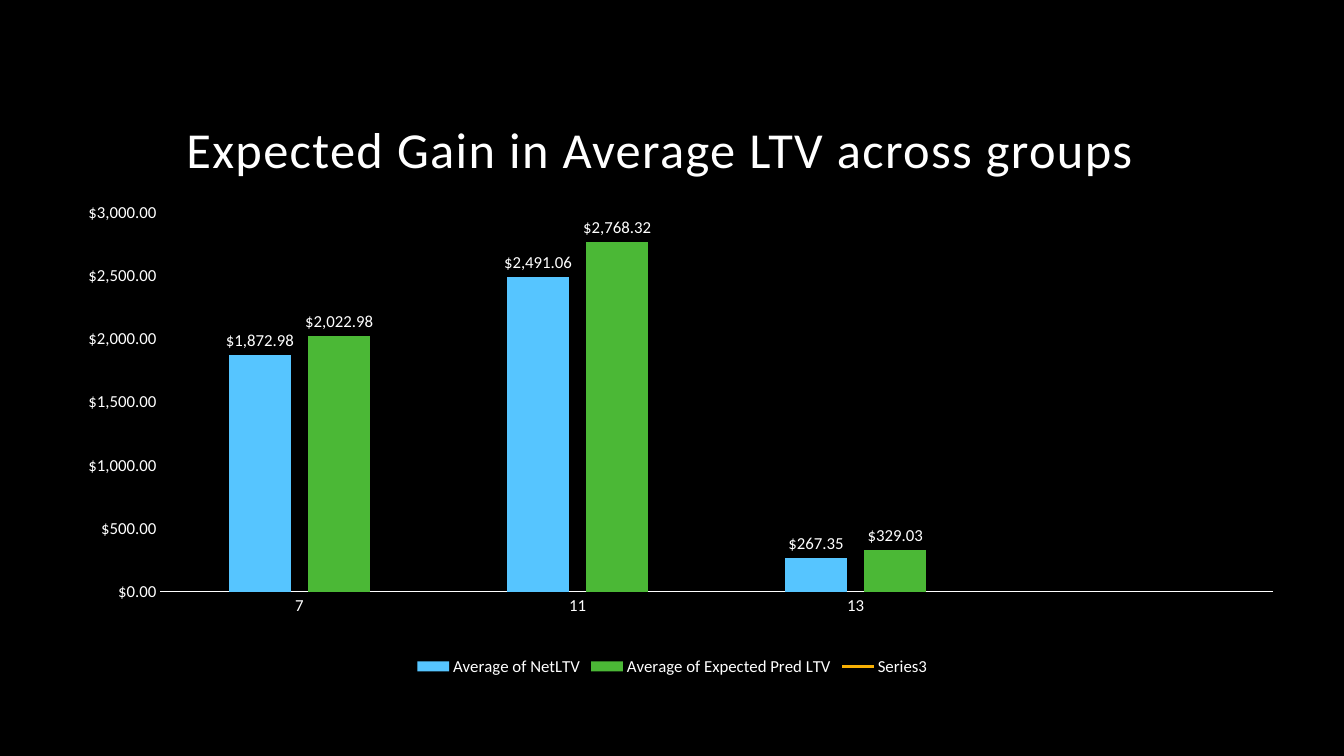
import pptx
import pptx.chart.data
import pptx.dml.color
import pptx.enum.chart
import pptx.enum.text
import pptx.oxml
import pptx.oxml.ns
import pptx.util
from pptx.util import Inches

# Content
TITLE = "Expected Gain in Average LTV across groups"
GROUPS = ["7", "11", "13", ""]
SERIES = [
    ("Average of NetLTV", [1872.98, 2491.06, 267.35, None], "56C5FF"),
    ("Average of Expected Pred LTV", [2022.98, 2768.32, 329.03, None], "4BB836"),
    ("Series3", [None] * 4, "F8B004"),
]
PLOT_LAYOUT = {"x": 0.074, "y": 0.023, "w": 0.926, "h": 0.792}
MONEY = '"$"#,##0.00'
FONT, WHITE, BLACK = "Calibri", "FFFFFF", "000000"


def rgb(value):
    return pptx.dml.color.RGBColor.from_string(value)


def paint(fill, color):
    fill.solid()
    fill.fore_color.rgb = rgb(color)


def style_font(font, size, color=WHITE):
    font.name, font.size, font.bold = FONT, pptx.util.Pt(size), False
    font.color.rgb = rgb(color)


def add_text(slide, text, *, left, top, width, height, size, spacing):
    tf = slide.shapes.add_textbox(
        Inches(left), Inches(top), Inches(width), Inches(height)).text_frame
    tf.word_wrap = True
    tf.vertical_anchor = pptx.enum.text.MSO_ANCHOR.BOTTOM
    p = tf.paragraphs[0]
    p.line_spacing = 0.9
    r = p.add_run()
    r.text = text
    style_font(r.font, size)
    r.font._element.set("spc", str(spacing * 100))


def chart_xml(markup):
    return pptx.oxml.parse_xml(markup.replace(
        ">", " " + pptx.oxml.ns.nsdecls("c") + ">", 1))


def set_plot_layout(chart):
    area = chart.element.find(".//" + pptx.oxml.ns.qn("c:plotArea"))
    for old in area.findall(pptx.oxml.ns.qn("c:layout")):
        area.remove(old)
    sizes = "".join(f'<c:{k} val="{v}"/>' for k, v in PLOT_LAYOUT.items())
    area.insert(0, chart_xml(
        '<c:layout><c:manualLayout><c:layoutTarget val="inner"/>'
        '<c:xMode val="edge"/><c:yMode val="edge"/>'
        f'{sizes}</c:manualLayout></c:layout>'))


def move_last_series_to_line(chart):
    bars = chart.element.find(".//" + pptx.oxml.ns.qn("c:barChart"))
    ser = bars.findall(pptx.oxml.ns.qn("c:ser"))[-1]
    for invert in ser.findall(pptx.oxml.ns.qn("c:invertIfNegative")):
        ser.remove(invert)
    ids = "".join(f'<c:axId val="{a.get("val")}"/>'
                  for a in bars.findall(pptx.oxml.ns.qn("c:axId")))
    lines = chart_xml(
        '<c:lineChart><c:grouping val="standard"/><c:varyColors val="0"/>'
        f'<c:marker val="1"/>{ids}</c:lineChart>')
    lines.insert(2, ser)
    bars.addnext(lines)


# Slide and title
prs = pptx.Presentation()
prs.slide_width, prs.slide_height = Inches(13.33), Inches(7.5)
s = prs.slides.add_slide(prs.slide_layouts[6])
paint(s.background.fill, BLACK)
add_text(s, TITLE, left=1.75, top=0.33, width=10, height=1.5, size=36, spacing=1)

# Chart
data = pptx.chart.data.CategoryChartData(number_format=MONEY)
data.categories = GROUPS
for name, values, _ in SERIES:
    data.add_series(name, values)
chart = s.shapes.add_chart(
    pptx.enum.chart.XL_CHART_TYPE.COLUMN_CLUSTERED,
    Inches(0.71), Inches(2), Inches(11.92), Inches(4.75), data).chart
style_font(chart.font, 10)
chart.has_title = False
chart.has_legend = True
chart.legend.position = pptx.enum.chart.XL_LEGEND_POSITION.BOTTOM
chart.legend.include_in_layout = False
style_font(chart.legend.font, 12)
set_plot_layout(chart)
move_last_series_to_line(chart)

# Columns and line
columns, line_plot = chart.plots
columns.gap_width, columns.overlap = 219, -27
columns.vary_by_categories = False
for series, (_, _, color) in zip(columns.series, SERIES):
    paint(series.format.fill, color)
    labels = series.data_labels
    labels.show_value = True
    labels.number_format, labels.number_format_is_linked = MONEY, False
    labels.position = pptx.enum.chart.XL_LABEL_POSITION.OUTSIDE_END
    style_font(labels.font, 12)
line = line_plot.series[0]
line.smooth = False
line.marker.style = pptx.enum.chart.XL_MARKER_STYLE.NONE
line.format.line.color.rgb = rgb(SERIES[-1][2])
line.format.line.width = pptx.util.Pt(2.25)

# Axes
for axis in (chart.category_axis, chart.value_axis):
    axis.major_tick_mark = axis.minor_tick_mark = pptx.enum.chart.XL_TICK_MARK.NONE
    axis.has_major_gridlines = False
    style_font(axis.tick_labels.font, 12)
chart.category_axis.format.line.color.rgb = rgb(WHITE)
chart.category_axis.format.line.width = pptx.util.Pt(0.75)
values_axis = chart.value_axis
values_axis.format.line.fill.background()
values_axis.minimum_scale, values_axis.maximum_scale = 0, 3000
values_axis.major_unit = 500
values_axis.tick_labels.number_format = MONEY
values_axis.tick_labels.number_format_is_linked = False

prs.save("out.pptx")
